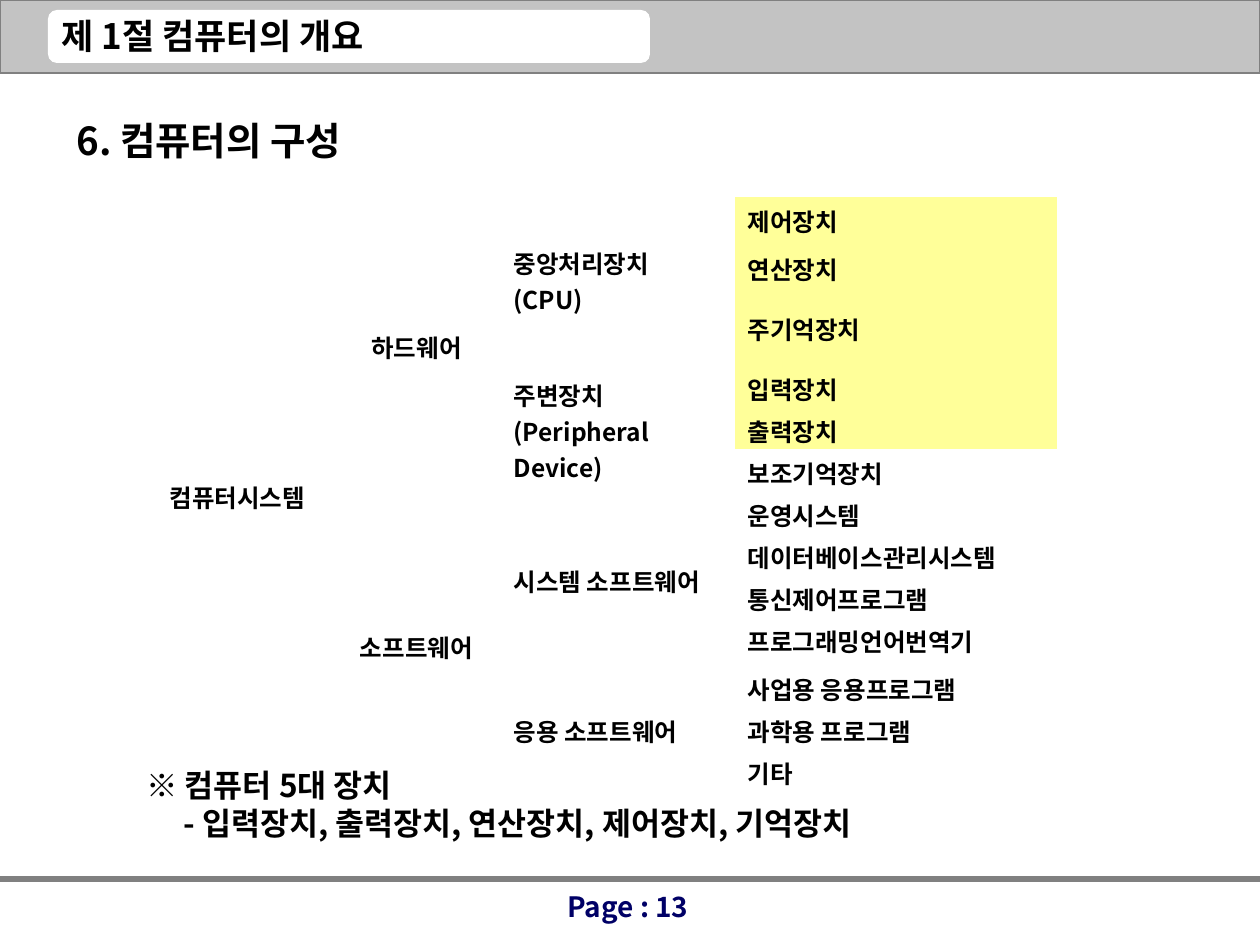
import lxml.etree
import pptx
import pptx.dml.color
import pptx.enum.shapes
import pptx.enum.text
import pptx.oxml.ns
import pptx.util

RGBColor = pptx.dml.color.RGBColor
Align = pptx.enum.text.PP_ALIGN
Anchor = pptx.enum.text.MSO_ANCHOR
Shape = pptx.enum.shapes.MSO_SHAPE
qn = pptx.oxml.ns.qn

BLACK = RGBColor(0x00, 0x00, 0x00)
WHITE = RGBColor(0xFF, 0xFF, 0xFF)
SILVER = RGBColor(0xC3, 0xC3, 0xC3)
GRAY = RGBColor(0x80, 0x80, 0x80)
NAVY = RGBColor(0x00, 0x00, 0x66)
YELLOW = RGBColor(0xFF, 0xFF, 0x99)

FONT = "Noto Sans CJK KR"
PX_PER_INCH = 126
PLAIN_TABLE_STYLE = "{2D5ABB26-0587-4C30-8999-92F81FD0307C}"

COLUMN_WIDTHS = [189, 169, 234, 322]
ROW_HEIGHTS = [48, 48, 72, 48, 36, 48, 36, 48, 36, 48, 48, 36, 48]
# Groups in the first three columns: (row, column, rows spanned, text)
GROUPS = [
    (0, 0, 13, "컴퓨터시스템"),
    (0, 1, 6, "하드웨어"),
    (6, 1, 7, "소프트웨어"),
    (0, 2, 3, "중앙처리장치\n(CPU)"),
    (3, 2, 3, "주변장치\n(Peripheral Device)"),
    (6, 2, 4, "시스템 소프트웨어"),
    (10, 2, 3, "응용 소프트웨어"),
]
PARTS = [
    "제어장치", "연산장치", "주기억장치", "입력장치", "출력장치",
    "보조기억장치", "운영시스템", "데이터베이스관리시스템",
    "통신제어프로그램", "프로그래밍언어번역기", "사업용 응용프로그램",
    "과학용 프로그램", "기타",
]
MAIN_DEVICES = 5


def px(length):
    return pptx.util.Emu(round(length * 914400 / PX_PER_INCH))


def write(frame, text, size, align=Align.LEFT, color=BLACK):
    frame.text = text
    for para in frame.paragraphs:
        para.alignment = align
        for span in para.runs:
            span.font.name = FONT
            span.font.size = pptx.util.Pt(size)
            span.font.bold = True
            span.font.color.rgb = color
            east_asian = lxml.etree.SubElement(span.font._element, qn("a:ea"))
            east_asian.set("typeface", FONT)


def add_text(page, box, text, size, align=Align.LEFT, color=BLACK,
             anchor=Anchor.TOP, wrap=False):
    frame = page.shapes.add_textbox(*map(px, box)).text_frame
    frame.word_wrap = wrap
    frame.vertical_anchor = anchor
    if not wrap:
        frame.auto_size = pptx.enum.text.MSO_AUTO_SIZE.SHAPE_TO_FIT_TEXT
    write(frame, text, size, align, color)
    return frame


def add_panel(page, kind, box, fill, line=None):
    panel = page.shapes.add_shape(kind, *map(px, box))
    panel.shadow.inherit = False
    panel.fill.solid()
    panel.fill.fore_color.rgb = fill
    if line is None:
        panel.line.fill.background()
    else:
        panel.line.color.rgb = line
        panel.line.width = pptx.util.Pt(0.75)


def add_header(page, box):
    left, top, width, height = box
    add_panel(page, Shape.RECTANGLE, box, SILVER, GRAY)
    add_panel(page, Shape.ROUNDED_RECTANGLE,
              (left + 48, top + 10, 602, height - 20), WHITE)
    add_text(page, (left + 49, top + 8, 354, 54), "제 1절 컴퓨터의 개요", 20)


def add_footer(page, box):
    left, top, width, height = box
    rule = page.shapes.add_connector(
        pptx.enum.shapes.MSO_CONNECTOR.STRAIGHT,
        px(left), px(top), px(left + width), px(top))
    rule.line.color.rgb = GRAY
    rule.line.width = pptx.util.Pt(3)
    lxml.etree.SubElement(rule._element.spPr, qn("a:effectLst"))
    add_text(page, (left + 481, top + 4, 294, height - 4), "Page : 13", 16,
             Align.CENTER, NAVY, wrap=True)


def fill_cell(cell, text, align, fill=None):
    write(cell.text_frame, text, 14, align)
    cell.vertical_anchor = Anchor.MIDDLE
    if fill is not None:
        cell.fill.solid()
        cell.fill.fore_color.rgb = fill


def add_system_table(page, left, top):
    frame = page.shapes.add_table(
        len(ROW_HEIGHTS), len(COLUMN_WIDTHS), px(left), px(top),
        px(sum(COLUMN_WIDTHS)), px(sum(ROW_HEIGHTS)))
    table = frame.table
    table.first_row = table.horz_banding = False
    table._tbl.tblPr.find(qn("a:tableStyleId")).text = PLAIN_TABLE_STYLE
    for column, width in zip(table.columns, COLUMN_WIDTHS):
        column.width = px(width)
    for row, height in zip(table.rows, ROW_HEIGHTS):
        row.height = px(height)
    for cell in table.iter_cells():
        cell.margin_top = cell.margin_bottom = 0
        cell.fill.background()
        # Keeps empty merged cells from stretching their rows
        cell.text_frame.paragraphs[0].font.size = pptx.util.Pt(14)

    for row, column, span, text in GROUPS:
        cell = table.cell(row, column)
        cell.merge(table.cell(row + span - 1, column))
        fill_cell(cell, text, Align.CENTER if column < 2 else Align.JUSTIFY)
    for row, text in enumerate(PARTS):
        fill_cell(table.cell(row, 3), text, Align.JUSTIFY,
                  YELLOW if row < MAIN_DEVICES else None)


def add_note(page, box):
    frame = add_text(
        page, box,
        "※ 컴퓨터 5대 장치\n- 입력장치, 출력장치, 연산장치, 제어장치, 기억장치",
        18, anchor=Anchor.MIDDLE)
    frame.paragraphs[1]._p.get_or_add_pPr().set("marL", str(px(37)))


def main():
    deck = pptx.Presentation()
    deck.slide_width, deck.slide_height = px(1260), px(945)
    page = deck.slides.add_slide(deck.slide_layouts[6])
    add_header(page, (0, 0, 1260, 73))
    add_footer(page, (0, 879, 1260, 70))
    add_text(page, (64, 111, 312, 59), "6. 컴퓨터의 구성", 22,
             Align.JUSTIFY, anchor=Anchor.MIDDLE)
    add_system_table(page, 143, 197)
    add_note(page, (134, 760, 805, 88))
    deck.save("out.pptx")


if __name__ == "__main__":
    main()
